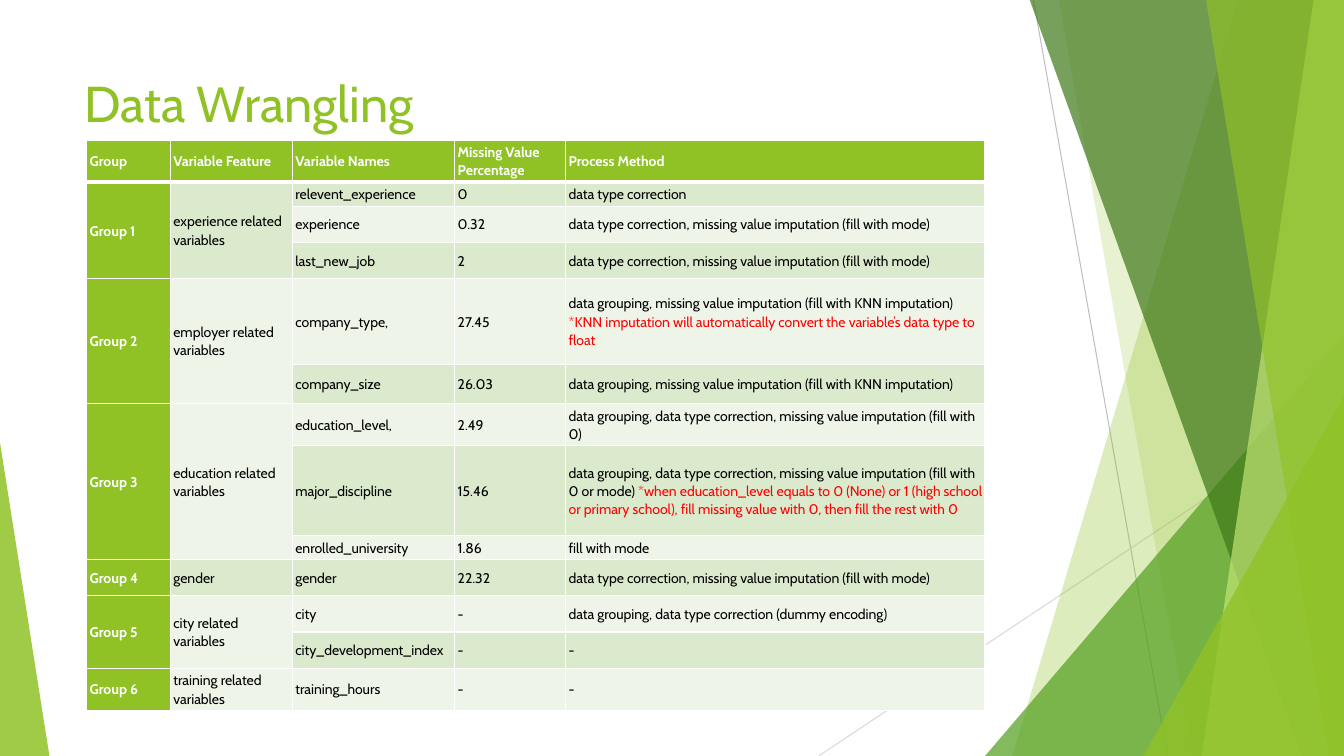
from dataclasses import dataclass

from lxml import etree
from pptx import Presentation
from pptx import util as u
from pptx.dml.color import RGBColor
from pptx.enum import shapes, text
from pptx.oxml.ns import qn

FONT = "Cabin"
WHITE = RGBColor(0xFF, 0xFF, 0xFF)
BLACK = RGBColor(0x00, 0x00, 0x00)
RED = RGBColor(0xFF, 0x00, 0x00)
LIME = RGBColor(0x90, 0xC2, 0x26)
PALE_LIME = RGBColor(0xC0, 0xE4, 0x74)
GREEN = RGBColor(0x54, 0xA0, 0x21)
DARK_GREEN = RGBColor(0x3F, 0x78, 0x19)
BAND_DARK = RGBColor(0xDB, 0xE9, 0xCD)
BAND_LIGHT = RGBColor(0xEE, 0xF4, 0xE8)
GRAY = RGBColor(0xBF, 0xBF, 0xBF)
LIGHT_GRAY = RGBColor(0xD9, 0xD9, 0xD9)

WIDTH, HEIGHT = 13.33, 7.5
TOP = -0.01


@dataclass
class Ray:
    start: tuple[float, float]
    end: tuple[float, float]
    color: RGBColor


@dataclass
class Facet:
    """A panel reaching the right edge, with a slanted left side."""
    top_x: float
    bottom_x: float
    color: RGBColor
    opacity: int


@dataclass
class Corner:
    """A right triangle standing on the bottom edge; apex 0 is left, 1 is right."""
    left: float
    top: float
    width: float
    apex: int
    color: RGBColor
    opacity: int


@dataclass
class Variable:
    name: str
    missing: str
    method: str
    note: str = ""


@dataclass
class Group:
    feature: str
    variables: list[Variable]


RAYS = [
    Ray((10.25, 0), (11.58, HEIGHT), GRAY),
    Ray((WIDTH, 4.03), (8.12, HEIGHT), LIGHT_GRAY),
]
PANELS = [
    Facet(12.28, 10.04, LIME, 30),
    Facet(10.5, 11.83, LIME, 20),
    Corner(9.77, 3.33, 3.56, 1, GREEN, 72),
    Facet(10.21, 12.91, DARK_GREEN, 70),
    Facet(13.03, 11.92, PALE_LIME, 70),
    Facet(11.96, 13.18, LIME, 65),
    Corner(11.34, 3.93, 1.99, 1, LIME, 80),
    Corner(0, 4.39, 0.49, 0, LIME, 85),
]

HEADINGS = ["Group", "Variable Feature", "Variable Names", "Missing Value Percentage", "Process Method"]
COLUMN_WIDTHS = [0.83, 1.21, 1.61, 1.1, 4.16]
ROW_HEIGHTS = [0.39, 0.21, 0.36, 0.36, 0.85, 0.39, 0.39, 0.89, 0.21, 0.36, 0.36, 0.36, 0.39]
FILL_MODE = "data type correction, missing value imputation (fill with mode)"
FILL_KNN = "data grouping, missing value imputation (fill with KNN imputation)"
FILL_ZERO = "data grouping, data type correction, missing value imputation (fill with 0"
GROUPS = [
    Group("experience related variables", [
        Variable("relevent_experience", "0", "data type correction"),
        Variable("experience", "0.32", FILL_MODE),
        Variable("last_new_job", "2", FILL_MODE),
    ]),
    Group("employer related variables", [
        Variable("company_type,", "27.45", FILL_KNN + " ",
                 "*KNN imputation will automatically convert the variable’s data type to float"),
        Variable("company_size", "26.03", FILL_KNN),
    ]),
    Group("education related variables", [
        Variable("education_level,", "2.49", FILL_ZERO + ")"),
        Variable("major_discipline", "15.46", FILL_ZERO + " or mode) ",
                 "*when education_level equals to 0 (None) or 1 (high school or primary school), "
                 "fill missing value with 0, then fill the rest with 0"),
        Variable("enrolled_university", "1.86", "fill with mode"),
    ]),
    Group("gender", [Variable("gender", "22.32", FILL_MODE)]),
    Group("city related variables", [
        Variable("city", "-", "data grouping, data type correction (dummy encoding)"),
        Variable("city_development_index", "-", "-"),
    ]),
    Group("training related variables", [Variable("training_hours", "-", "-")]),
]


def add_run(paragraph, content: str, *, size: float = 10, color: RGBColor = BLACK, bold: bool = False) -> None:
    run = paragraph.add_run()
    run.text = content
    run.font.name = FONT
    run.font.size = u.Pt(size)
    run.font.bold = bold
    run.font.color.rgb = color


def paint(shape, color: RGBColor, opacity: int) -> None:
    shape.shadow.inherit = False
    shape.line.fill.background()
    shape.fill.solid()
    shape.fill.fore_color.rgb = color
    tint = shape.element.spPr.find(qn("a:solidFill")).find(qn("a:srgbClr"))
    etree.SubElement(tint, qn("a:alpha"), val=str(opacity * 1000))


def draw_ray(slide, ray: Ray) -> None:
    points = [u.Inches(value) for value in ray.start + ray.end]
    connector = slide.shapes.add_connector(shapes.MSO_CONNECTOR.STRAIGHT, *points)
    connector.line.color.rgb = ray.color
    connector.line.width = u.Pt(0.75)
    etree.SubElement(connector.element.spPr, qn("a:effectLst"))


def draw_panel(slide, panel: Facet | Corner) -> None:
    if isinstance(panel, Facet):
        outline = [(panel.top_x, TOP), (WIDTH, TOP), (WIDTH, HEIGHT), (panel.bottom_x, HEIGHT)]
        points = [(u.Inches(x), u.Inches(y)) for x, y in outline]
        builder = slide.shapes.build_freeform(*points[0])
        builder.add_line_segments(points[1:], close=True)
        shape = builder.convert_to_shape()
    else:
        box = (panel.left, panel.top, panel.width, HEIGHT - panel.top)
        shape = slide.shapes.add_shape(shapes.MSO_SHAPE.ISOSCELES_TRIANGLE, *map(u.Inches, box))
        shape.adjustments[0] = panel.apex
    paint(shape, panel.color, panel.opacity)


def draw_title(slide, content: str) -> None:
    box = slide.shapes.add_textbox(*map(u.Inches, (0.74, 0.67, 9.4, 1.44)))
    box.text_frame.word_wrap = True
    add_run(box.text_frame.paragraphs[0], content, size=36, color=LIME)


def format_cell(cell, fill: RGBColor, bottom: float = 1) -> None:
    cell.margin_left = cell.margin_right = cell.margin_top = cell.margin_bottom = u.Inches(0.03)
    cell.vertical_anchor = text.MSO_ANCHOR.MIDDLE
    properties = cell._tc.get_or_add_tcPr()
    for side, width in (("L", 1), ("R", 1), ("T", 1), ("B", bottom)):
        border = etree.SubElement(properties, qn(f"a:ln{side}"), w=str(u.Pt(width)))
        solid = etree.SubElement(border, qn("a:solidFill"))
        etree.SubElement(solid, qn("a:srgbClr"), val=str(WHITE))
    cell.fill.solid()
    cell.fill.fore_color.rgb = fill


def write_cell(cell, content: str, *, color: RGBColor = BLACK, bold: bool = False, note: str = "") -> None:
    paragraph = cell.text_frame.paragraphs[0]
    paragraph.line_spacing = 1.07
    add_run(paragraph, content, color=color, bold=bold)
    if note:
        add_run(paragraph, note, color=RED)


def draw_table(slide) -> None:
    area = map(u.Inches, (0.86, 1.39, sum(COLUMN_WIDTHS), sum(ROW_HEIGHTS)))
    table = slide.shapes.add_table(len(ROW_HEIGHTS), len(COLUMN_WIDTHS), *area).table
    for column, width in zip(table.columns, COLUMN_WIDTHS):
        column.width = u.Inches(width)
    for index, (row, height) in enumerate(zip(table.rows, ROW_HEIGHTS)):
        row.height = u.Inches(height)
        band = BAND_DARK if index % 2 else BAND_LIGHT
        for position, cell in enumerate(row.cells):
            accent = index == 0 or position == 0
            format_cell(cell, LIME if accent else band, bottom=1 if index else 3)

    # Header row
    for position, heading in enumerate(HEADINGS):
        write_cell(table.cell(0, position), heading, color=WHITE, bold=True)

    # Groups, with the first two columns merged down each group
    first = 1
    for number, group in enumerate(GROUPS, 1):
        last = first + len(group.variables) - 1
        if last > first:
            for position in (0, 1):
                table.cell(first, position).merge(table.cell(last, position))
        write_cell(table.cell(first, 0), f"Group {number}", color=WHITE, bold=True)
        write_cell(table.cell(first, 1), group.feature)
        for index, variable in enumerate(group.variables, first):
            write_cell(table.cell(index, 2), variable.name)
            write_cell(table.cell(index, 3), variable.missing)
            write_cell(table.cell(index, 4), variable.method, note=variable.note)
        first = last + 1


def main() -> None:
    presentation = Presentation()
    presentation.slide_width, presentation.slide_height = u.Inches(WIDTH), u.Inches(HEIGHT)
    slide = presentation.slides.add_slide(presentation.slide_layouts[6])
    for ray in RAYS:
        draw_ray(slide, ray)
    for panel in PANELS:
        draw_panel(slide, panel)
    draw_title(slide, "Data Wrangling")
    draw_table(slide)
    presentation.save("out.pptx")


if __name__ == "__main__":
    main()
